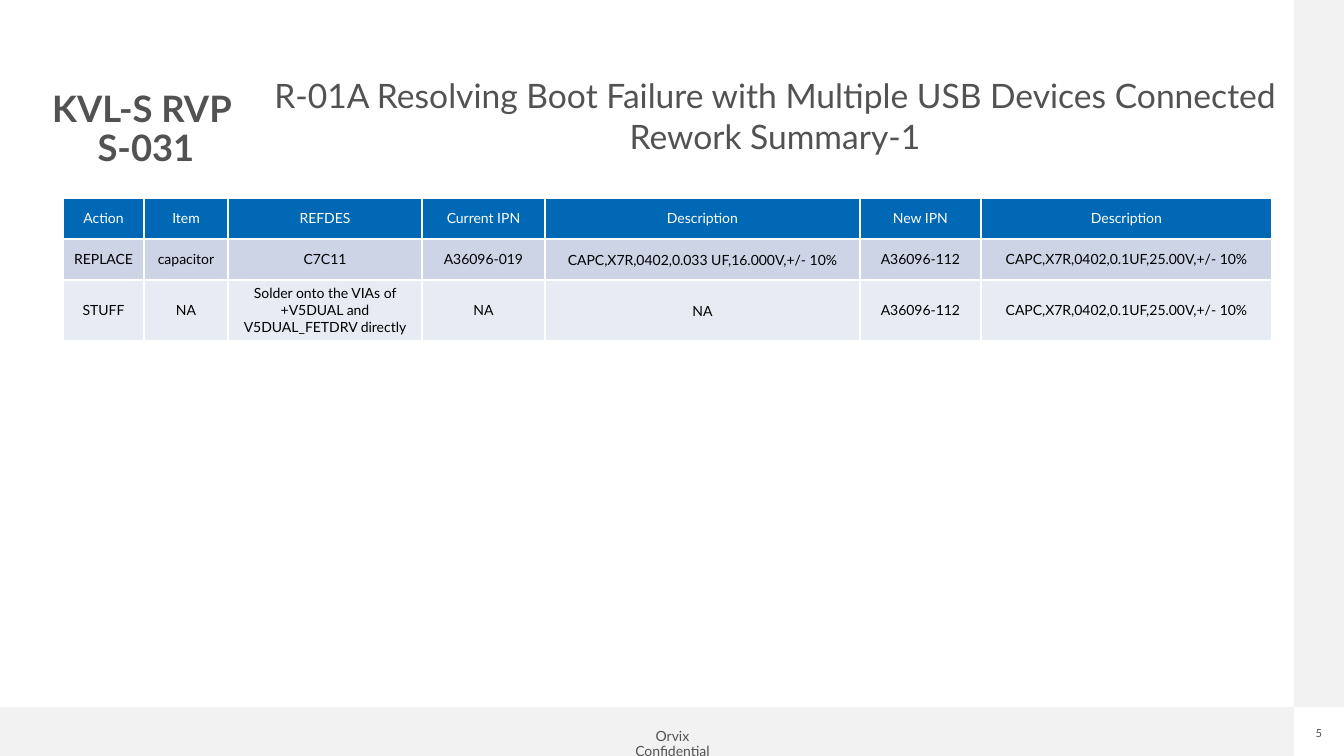
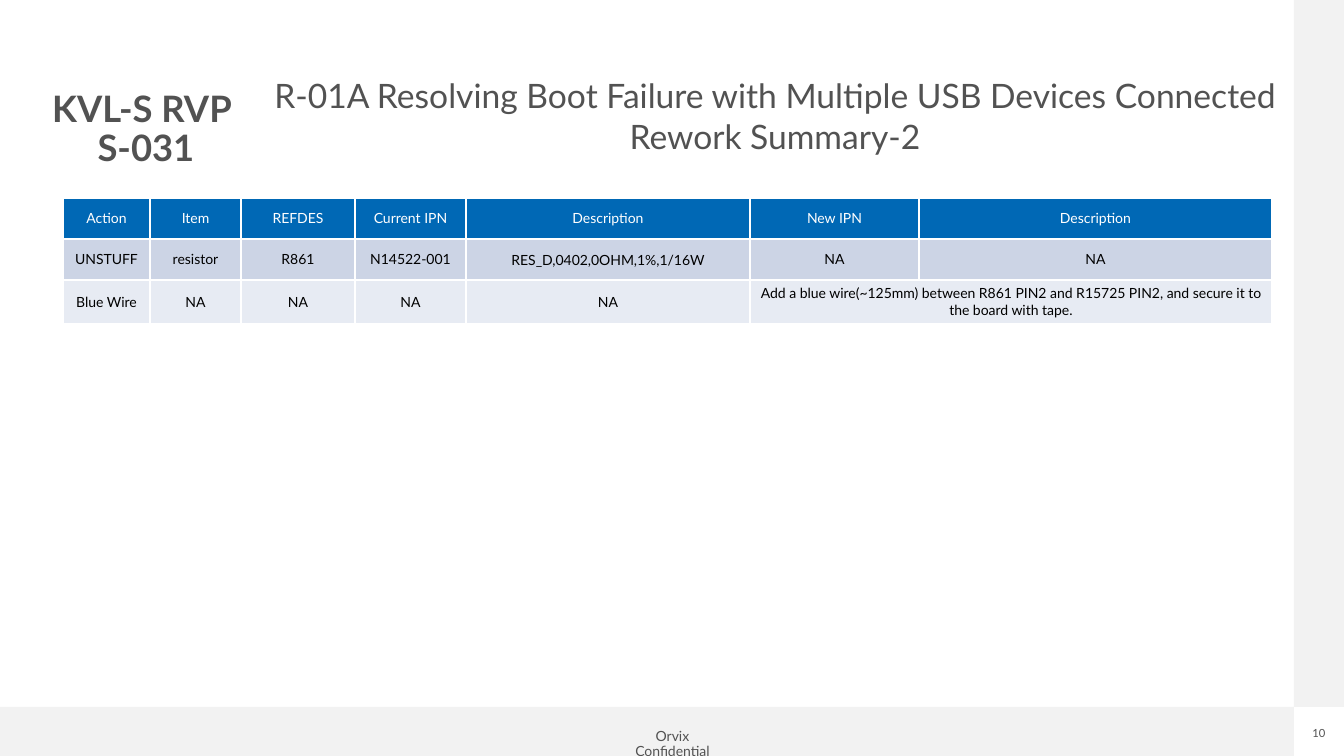
from dataclasses import dataclass
from typing import NamedTuple

from lxml.etree import SubElement as Sub
from pptx import Presentation as Deck
from pptx.dml.color import RGBColor as Color
from pptx.enum.shapes import MSO_SHAPE as Shape
from pptx.enum.text import MSO_ANCHOR as Anchor, PP_ALIGN as Align
from pptx.oxml.ns import qn
from pptx.slide import Slide
from pptx.table import _Cell as Cell
from pptx.text.text import TextFrame as Frame
from pptx.util import Emu, Pt

SCALE = 914400 / 100.8


class Style(NamedTuple):
    """Look of a text."""
    size: int
    color: str
    bold: bool = False
    lead: float = 1.0


class Box(NamedTuple):
    """Place of a shape in px."""
    left: int
    top: int
    width: int
    height: int


@dataclass(frozen=True)
class Theme:
    """Colours and type sizes of the deck."""
    font: str = "Lato"
    band: str = "F2F2F2"
    line: str = "FFFFFF"
    fills: tuple[str, ...] = ("0068B5", "CCD4E5", "E7EBF3")
    label: Style = Style(26, "525252", True, 0.9)
    title: Style = Style(24, "525252")
    note: Style = Style(10, "525252", lead=0.9)
    page: Style = Style(8, "525252")
    head: Style = Style(10, "FFFFFF")
    body: Style = Style(10, "000000")


@dataclass(frozen=True)
class Label:
    """Text box with its place and look."""
    text: str
    box: Box
    style: Style
    wrap: bool = True
    pad: bool = False
    anchor: Anchor = Anchor.MIDDLE


@dataclass(frozen=True)
class Sheet:
    """Content of one rework slide."""
    step: int
    page: int
    cols: tuple[int, ...]
    last: int
    rows: tuple[tuple[str, ...], ...]


THEME = Theme()
BANDS = (Box(0, 707, 1294, 49), Box(1294, 0, 50, 707))
GRID = Box(63, 198, 1209, 41)
TIGHT = 4
HEAD = ("Action", "Item", "REFDES", "Current IPN", "Description", "New IPN", "Description")
CAP = "CAPC,X7R,0402,0.1UF,25.00V,+/- 10%"
SHEETS = (
    Sheet(1, 5, (81, 84, 194, 123, 315, 121, 291), 60, (
        ("REPLACE", "capacitor", "C7C11", "A36096-019",
         "CAPC,X7R,0402,0.033 UF,16.000V,+/- 10%", "A36096-112", CAP),
        ("STUFF", "NA", "Solder onto the VIAs of +V5DUAL and V5DUAL_FETDRV directly",
         "NA", "NA", "A36096-112", CAP),
    )),
    Sheet(2, 10, (87, 91, 114, 111, 284, 169, 353), 43, (
        ("UNSTUFF", "resistor", "R861", "N14522-001", "RES_D,0402,0OHM,1%,1/16W", "NA", "NA"),
        ("Blue Wire", "NA", "NA", "NA", "NA",
         "Add a blue wire(~125mm) between R861 PIN2 and R15725 PIN2, "
         "and secure it to the board with tape."),
    )),
)


def px(size: int) -> Emu:
    """Turn px into EMU."""
    return Emu(round(size * SCALE))


def place(box: Box) -> tuple[Emu, ...]:
    """Turn a box into EMU."""
    return tuple(px(side) for side in box)


def write(frame: Frame, text: str, style: Style) -> None:
    """Set centred text and format its runs."""
    frame.text = text
    for para in frame.paragraphs:
        para.alignment = Align.CENTER
        para.line_spacing = style.lead
        for run in para.runs:
            font = run.font
            font.name, font.size, font.bold = THEME.font, Pt(style.size), style.bold
            font.color.rgb = Color.from_string(style.color)


def add_band(slide: Slide, box: Box) -> None:
    """Draw a plain grey band."""
    band = slide.shapes.add_shape(Shape.RECTANGLE, *place(box))
    band.shadow.inherit = False
    band.fill.solid()
    band.fill.fore_color.rgb = Color.from_string(THEME.band)
    band.line.fill.background()


def add_label(slide: Slide, label: Label) -> None:
    """Draw a text box."""
    frame = slide.shapes.add_textbox(*place(label.box)).text_frame
    frame.word_wrap = label.wrap
    frame.vertical_anchor = label.anchor
    if not label.pad:
        frame.margin_left = frame.margin_right = frame.margin_top = frame.margin_bottom = 0
    write(frame, label.text, label.style)


def edge(cell: Cell) -> None:
    """Draw a thin line on each side of a cell."""
    props = cell._tc.get_or_add_tcPr()
    for side in ("lnL", "lnR", "lnT", "lnB"):
        line = Sub(props, qn(f"a:{side}"), w=str(Pt(1)))
        Sub(Sub(line, qn("a:solidFill")), qn("a:srgbClr"), val=THEME.line)


def fill_cell(cell: Cell, text: str, row: int, col: int) -> None:
    """Write and paint one cell."""
    edge(cell)
    cell.fill.solid()
    cell.fill.fore_color.rgb = Color.from_string(THEME.fills[row])
    cell.vertical_anchor = Anchor.MIDDLE
    if row and col == TIGHT:
        cell.margin_left = cell.margin_right = cell.margin_top = px(1)
        cell.margin_bottom = 0
    write(cell.text_frame, text, THEME.body if row else THEME.head)


def add_grid(slide: Slide, sheet: Sheet) -> None:
    """Draw the rework table, a short row spanning to the end."""
    rows = (HEAD, *sheet.rows)
    highs = (GRID.height, GRID.height, sheet.last)
    box = GRID._replace(height=sum(highs))
    table = slide.shapes.add_table(len(rows), len(HEAD), *place(box)).table
    for col, width in zip(table.columns, sheet.cols):
        col.width = px(width)
    for row, (texts, high) in enumerate(zip(rows, highs)):
        table.rows[row].height = px(high)
        end = len(texts) - 1
        for col in range(len(HEAD)):
            fill_cell(table.cell(row, col), texts[col] if col <= end else "", row, col)
        if end < len(HEAD) - 1:
            table.cell(row, end).merge(table.cell(row, len(HEAD) - 1))


def add_sheet(deck: Deck, sheet: Sheet) -> None:
    """Build one rework slide."""
    slide = deck.slides.add_slide(deck.slide_layouts[6])
    title = ("R-01A Resolving Boot Failure with Multiple USB Devices Connected "
             f"Rework Summary-{sheet.step}")
    for band in BANDS:
        add_band(slide, band)
    add_grid(slide, sheet)
    for label in (
        Label("Orvix Confidential", Box(607, 724, 131, 25), THEME.note, False, True, Anchor.TOP),
        Label(str(sheet.page), Box(1312, 726, 14, 13), THEME.page, False, anchor=Anchor.TOP),
        Label("KVL-S RVP \vS-031", Box(-73, 78, 438, 105), THEME.label),
        Label(title, Box(273, 63, 1004, 105), THEME.title),
    ):
        add_label(slide, label)


def main() -> None:
    """Build and save the deck."""
    deck = Deck()
    deck.slide_width, deck.slide_height = px(1344), px(756)
    for sheet in SHEETS:
        add_sheet(deck, sheet)
    deck.save("out.pptx")


if __name__ == "__main__":
    main()
